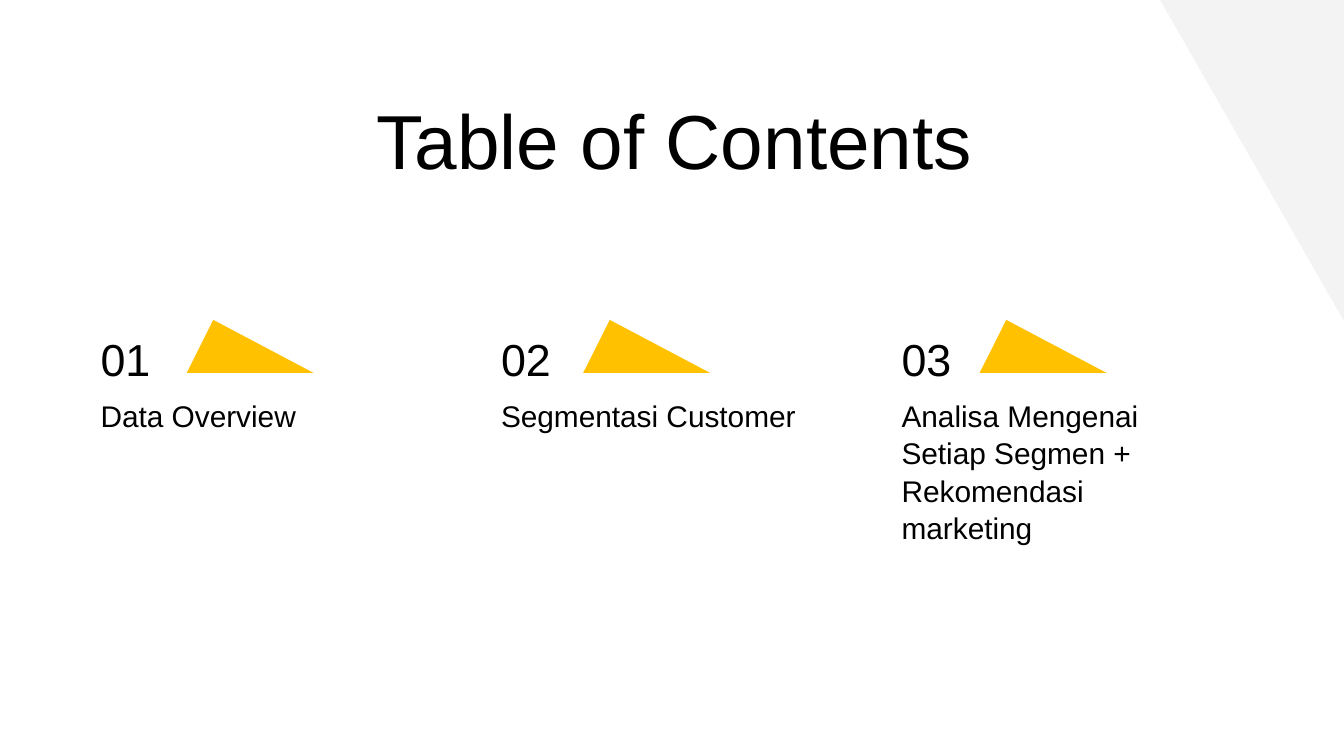
import pptx
import pptx.util
from pptx.dml.color import RGBColor
from pptx.enum.shapes import MSO_SHAPE
from pptx.enum.text import MSO_ANCHOR, MSO_AUTO_SIZE, PP_ALIGN

Pt = pptx.util.Pt

TITLE = "Table of Contents"
# Caption and its box width
SECTIONS = [
    ("Data Overview", 170),
    ("Segmentasi Customer", 204.5),
    ("Analisa Mengenai Setiap Segmen + Rekomendasi marketing", 170),
]

FONT = "Arial"
BLACK = RGBColor(0x00, 0x00, 0x00)
WHITE = RGBColor(0xFF, 0xFF, 0xFF)
YELLOW = RGBColor(0xFF, 0xC1, 0x00)
LIGHT_GRAY = RGBColor(0xF3, 0xF3, 0xF3)

SLIDE_WIDTH, SLIDE_HEIGHT = 720, 405
TEXT_LEFT, TEXT_PITCH = 46.8, 214.56
MARKER_LEFT, MARKER_PITCH = 100, 212.4
NUMBER_TOP, CAPTION_TOP, ROW_HEIGHT = 177.1, 205.2, 28.1
CORNER_WIDTH, CORNER_HEIGHT = 98.5, 172


def add_plain_shape(slide, kind, left, top, width, height, color):
    shape = slide.shapes.add_shape(kind, Pt(left), Pt(top), Pt(width), Pt(height))
    shape.shadow.inherit = False
    shape.fill.solid()
    shape.fill.fore_color.rgb = color
    shape.line.fill.background()
    return shape


def write_text(shape, text, size, spacing, anchor=MSO_ANCHOR.TOP, align=PP_ALIGN.LEFT):
    frame = shape.text_frame
    frame.text = text
    frame.word_wrap = True
    frame.auto_size = MSO_AUTO_SIZE.NONE
    frame.vertical_anchor = anchor
    frame.margin_left = frame.margin_right = Pt(7.2)
    frame.margin_top = frame.margin_bottom = Pt(7.2)
    paragraph = frame.paragraphs[0]
    paragraph.alignment = align
    paragraph.line_spacing = spacing
    font = paragraph.runs[0].font
    font.name = FONT
    font.size = Pt(size)
    font.color.rgb = BLACK


def add_text(slide, text, left, top, width, size, spacing, anchor=MSO_ANCHOR.TOP):
    box = slide.shapes.add_textbox(Pt(left), Pt(top), Pt(width), Pt(ROW_HEIGHT))
    write_text(box, text, size, spacing, anchor)


def main():
    presentation = pptx.Presentation()
    presentation.slide_width = Pt(SLIDE_WIDTH)
    presentation.slide_height = Pt(SLIDE_HEIGHT)
    slide = presentation.slides.add_slide(presentation.slide_layouts[5])
    slide.background.fill.solid()
    slide.background.fill.fore_color.rgb = WHITE

    corner = add_plain_shape(slide, MSO_SHAPE.RIGHT_TRIANGLE, SLIDE_WIDTH - CORNER_WIDTH, 0,
                             CORNER_WIDTH, CORNER_HEIGHT, LIGHT_GRAY)
    corner.rotation = 180

    title = slide.shapes.title
    title.left, title.top, title.width, title.height = Pt(42.5), Pt(38.9), Pt(638), Pt(45.4)
    write_text(title, TITLE, 41, 1.08, align=PP_ALIGN.CENTER)

    for index, (caption, width) in enumerate(SECTIONS):
        marker = add_plain_shape(slide, MSO_SHAPE.ISOSCELES_TRIANGLE,
                                 MARKER_LEFT + index * MARKER_PITCH, 171.4, 68, 28.4, YELLOW)
        marker.adjustments[0] = 0.21
        left = TEXT_LEFT + index * TEXT_PITCH
        add_text(slide, f"{index + 1:02}", left, NUMBER_TOP, 85, 24, 1.08, MSO_ANCHOR.MIDDLE)
        add_text(slide, caption, left, CAPTION_TOP, width, 16, 1.04)

    presentation.save("out.pptx")


if __name__ == "__main__":
    main()
